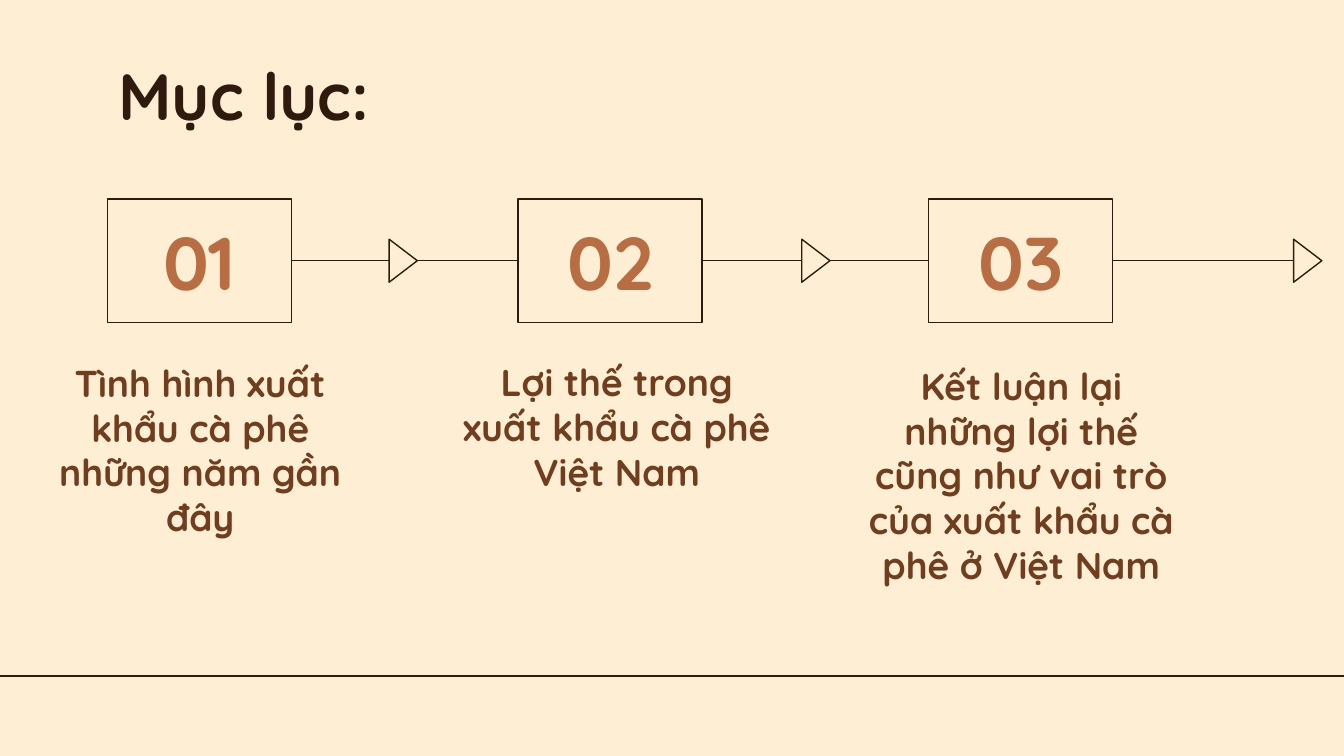
from lxml.etree import SubElement
from pptx import Presentation
from pptx.dml.color import RGBColor
from pptx.enum.shapes import MSO_CONNECTOR, MSO_SHAPE
from pptx.enum.text import MSO_ANCHOR as Anchor, PP_ALIGN as Align
from pptx.oxml.ns import qn
from pptx.util import Inches, Pt

CREAM, ESPRESSO, COFFEE, CARAMEL = "FEEED3", "301A0D", "703D1F", "B86D42"
WIDTH = 10
HEIGHT = WIDTH * 9 / 16
BOX_LEFT, BOX_TOP, BOX_WIDTH, BOX_HEIGHT = 0.8, 1.48, 1.37, 0.92
LAST_BOX_LEFT = 6.91
PITCH = (LAST_BOX_LEFT - BOX_LEFT) / 2
ARROW_WIDTH, ARROW_HEIGHT = 0.32, 0.21
FLOW_Y = BOX_TOP + BOX_HEIGHT / 2


def paint(color_format, color):
    """Give a fill one solid colour from a hex string."""
    color_format.solid()
    color_format.fore_color.rgb = RGBColor.from_string(color)


def write(shape, text, size, color, align, anchor):
    frame = shape.text_frame
    margins = {f"margin_{side}": Inches(0.1) for side in ("left", "top", "right", "bottom")}
    for name, value in {"word_wrap": True, "vertical_anchor": anchor, **margins}.items():
        setattr(frame, name, value)
    para = frame.paragraphs[0]
    para.alignment = align
    span = para.add_run()
    span.text = text
    for name, value in {"name": "Quicksand", "size": Pt(size), "bold": True}.items():
        setattr(span.font, name, value)
    paint(span.font.fill, color)


deck = Presentation()
deck.slide_width, deck.slide_height = Inches(WIDTH), Inches(HEIGHT)
page = deck.slides.add_slide(deck.slide_layouts[5])
paint(page.background.fill, CREAM)

title = page.shapes.title
title_place = {"left": 0.78, "top": 0.31, "width": 8.44, "height": 0.63}
for name, value in title_place.items():
    setattr(title, name, Inches(value))
write(title, "Mục lục:", 35, ESPRESSO, Align.LEFT, Anchor.TOP)

# Ground line across the slide, then the line that joins the steps
for start, end, y in [(0, 10.03, 5.03), (BOX_LEFT + BOX_WIDTH, 9.63, FLOW_Y)]:
    line = page.shapes.add_connector(
        MSO_CONNECTOR.STRAIGHT, Inches(start), Inches(y), Inches(end), Inches(y))
    line.line.width = Pt(0.75)
    paint(line.line.fill, ESPRESSO)
    SubElement(line._element.spPr, qn("a:effectLst"))

# Each step: caption, caption left and top, caption anchor, arrowhead left
steps = [
    ("Tình hình xuất khẩu cà phê những năm gần đây", 0.21, 2.6, Anchor.MIDDLE, 2.84),
    ("Lợi thế trong xuất khẩu cà phê Việt Nam", 3.31, 2.43, Anchor.MIDDLE, 5.91),
    ("Kết luận lại những lợi thế cũng như vai trò của xuất khẩu cà phê ở Việt Nam",
     6.32, 2.6, Anchor.TOP, 9.57),
]
for index, (caption, left, top, anchor, arrow_left) in enumerate(steps):
    box = page.shapes.add_shape(
        MSO_SHAPE.RECTANGLE, Inches(BOX_LEFT + index * PITCH), Inches(BOX_TOP),
        Inches(BOX_WIDTH), Inches(BOX_HEIGHT))
    write(box, f"{index + 1:02}", 40, CARAMEL, Align.CENTER, Anchor.MIDDLE)

    arrow = page.shapes.add_shape(
        MSO_SHAPE.ISOSCELES_TRIANGLE, Inches(arrow_left), Inches(FLOW_Y - ARROW_HEIGHT / 2),
        Inches(ARROW_WIDTH), Inches(ARROW_HEIGHT))
    arrow.rotation = 90

    for shape in (box, arrow):
        shape.shadow.inherit = False
        paint(shape.fill, CREAM)
        paint(shape.line.fill, ESPRESSO)
        shape.line.width = Pt(0.75)

    label = page.shapes.add_textbox(Inches(left), Inches(top), Inches(2.56), Inches(1.49))
    write(label, caption, 20, COFFEE, Align.CENTER, anchor)

deck.save("out.pptx")
